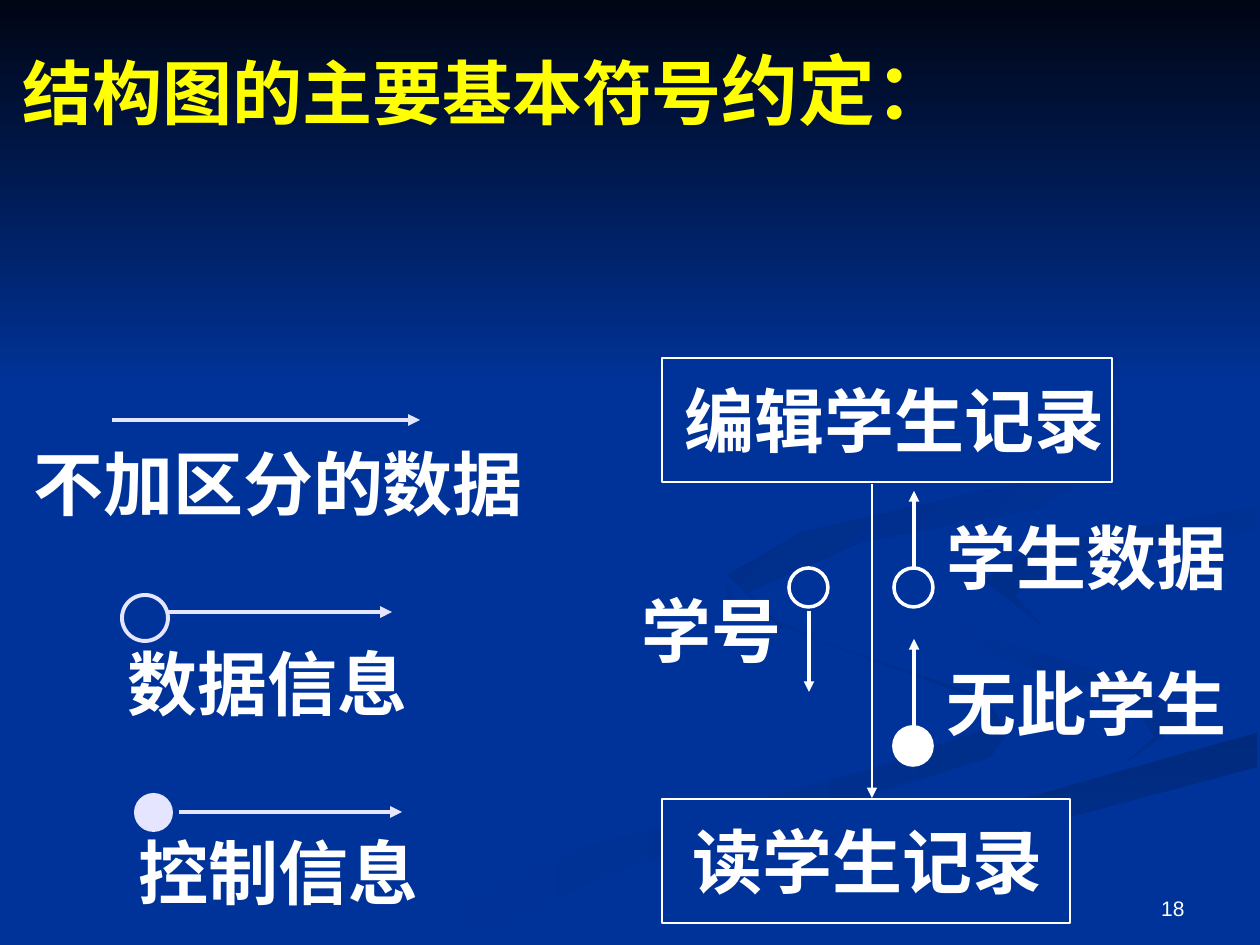
from lxml import etree
from pptx import Presentation
from pptx.dml.color import RGBColor
from pptx.enum.shapes import MSO_CONNECTOR, MSO_SHAPE
from pptx.enum.text import MSO_ANCHOR, MSO_AUTO_SIZE, PP_ALIGN
from pptx.oxml.ns import qn
from pptx.util import Pt

PX = 914400 / 126
STRAIGHT = MSO_CONNECTOR.STRAIGHT
RECTANGLE, OVAL = MSO_SHAPE.RECTANGLE, MSO_SHAPE.OVAL
TOP, MIDDLE, BOTTOM = MSO_ANCHOR.TOP, MSO_ANCHOR.MIDDLE, MSO_ANCHOR.BOTTOM
LEFT, RIGHT = PP_ALIGN.LEFT, PP_ALIGN.RIGHT
NO_AUTOFIT = MSO_AUTO_SIZE.NONE
CJK_FONT = "Noto Sans CJK SC"
COLORS = {
    "blue": "003399", "night": "000514", "white": "FFFFFF",
    "yellow": "FFFF00", "lavender": "E5E5FF",
    "shade1": "002E8B", "shade2": "002A7D", "shade3": "002D86", "shade4": "002B82",
}

# Each ribbon: colour at start, colour at end, clockwise angle, outline in px
RIBBONS = [
    ("blue", "shade1", 0, [
        (984, 697), (833, 646), (735, 601), (725, 578), (726, 605), (856, 654),
        (984, 701), (983, 730), (862, 772), (577, 849), (378, 944), (455, 944),
        (629, 866), (881, 791), (990, 757), (1008, 732)]),
    ("blue", "shade1", 45, [
        (1188, 718), (1119, 674), (939, 617), (912, 585), (965, 645),
        (1134, 702), (1155, 737), (1126, 762)]),
    ("shade2", "blue", 90, [
        (634, 944), (719, 944), (910, 859), (1257, 767), (1257, 732),
        (1004, 804), (794, 873)]),
    ("blue", "blue", 0, [
        (913, 585), (956, 627), (1159, 689), (1188, 724), (1137, 760), (835, 842),
        (601, 944), (634, 944), (794, 873), (1004, 804), (1259, 732), (1259, 678),
        (1091, 641), (984, 583), (1036, 547), (1259, 507), (1259, 488), (993, 532)]),
    ("shade3", "blue", 45, [
        (984, 580), (1041, 625), (1014, 595), (1062, 564), (1257, 529),
        (1257, 507), (1034, 546)]),
    ("shade4", "blue", 45, [
        (861, 542), (1040, 507), (1120, 456), (1116, 398), (960, 294), (1066, 352),
        (1120, 422), (1074, 471), (803, 532), (728, 575), (784, 630), (747, 592)]),
]


def px(*lengths):
    return [round(length * PX) for length in lengths]


def rgb(name):
    return RGBColor.from_string(COLORS[name])


def fill_gradient(shape, start, end, angle):
    """Fill with two colours; the angle runs clockwise from left to right."""
    shape.shadow.inherit = False
    shape.line.fill.background()
    if start == end:
        shape.fill.solid()
        shape.fill.fore_color.rgb = rgb(start)
        return
    shape.fill.gradient()
    shape.fill.gradient_angle = (360 - angle) % 360
    for position, (stop, color) in enumerate(zip(shape.fill.gradient_stops, (start, end))):
        stop.position = position
        stop.color.rgb = rgb(color)


def add_backdrop(slide):
    slide.background.fill.solid()
    slide.background.fill.fore_color.rgb = rgb("blue")
    for start, end, angle, outline in RIBBONS:
        builder = slide.shapes.build_freeform(*outline[0], scale=PX)
        builder.add_line_segments(outline[1:], close=True)
        fill_gradient(builder.convert_to_shape(), start, end, angle)
    band = slide.shapes.add_shape(RECTANGLE, *px(0, 0, 1260, 388))
    fill_gradient(band, "night", "blue", 90)


def add_outlined(slide, kind, box, fill, line, weight):
    shape = slide.shapes.add_shape(kind, *px(*box))
    shape.shadow.inherit = False
    shape.fill.solid()
    shape.fill.fore_color.rgb = rgb(fill)
    shape.line.color.rgb = rgb(line)
    shape.line.width = Pt(weight)


def add_arrow(slide, start, end, color, weight):
    arrow = slide.shapes.add_connector(STRAIGHT, *px(*start, *end))
    arrow.line.color.rgb = rgb(color)
    arrow.line.width = Pt(weight)
    properties = arrow.element.spPr
    etree.SubElement(properties.find(qn("a:ln")), qn("a:tailEnd"), type="triangle")
    etree.SubElement(properties, qn("a:effectLst"))


def format_frame(frame, anchor, wrap):
    frame.word_wrap = wrap
    frame.auto_size = NO_AUTOFIT
    frame.vertical_anchor = anchor
    frame.margin_top = frame.margin_bottom = 0


def format_run(run, size, color, font=CJK_FONT, bold=True):
    run.font.size = Pt(size)
    run.font.bold = bold
    run.font.color.rgb = rgb(color)
    run.font.name = font
    if font == CJK_FONT:
        etree.SubElement(run.font._element, qn("a:ea"), typeface=font)


def add_title(slide):
    title = slide.shapes.title
    title.left, title.top, title.width, title.height = px(10, 42, 1250, 809)
    title.element.getparent().append(title.element)  # in front of the backdrop
    format_frame(title.text_frame, TOP, True)
    paragraph = title.text_frame.paragraphs[0]
    paragraph.alignment = LEFT
    for text, size in (("结构图的主要基本符号", 40), ("约定：", 44)):
        run = paragraph.add_run()
        run.text = text
        format_run(run, size, "yellow")


def add_label(slide, text, left, top):
    """Add a bold label whose width follows from its number of characters."""
    box = slide.shapes.add_textbox(*px(left, top, 70 * len(text) + 25, 96))
    box.text_frame.text = text
    format_frame(box.text_frame, MIDDLE, False)
    format_run(box.text_frame.paragraphs[0].runs[0], 40, "white")


def add_slide_number(slide):
    box = slide.shapes.add_textbox(*px(903, 861, 294, 60))
    box.text_frame.text = "18"
    format_frame(box.text_frame, BOTTOM, True)
    paragraph = box.text_frame.paragraphs[0]
    paragraph.alignment = RIGHT
    format_run(paragraph.runs[0], 12, "white", "Arial", False)


def main():
    presentation = Presentation()
    presentation.slide_width, presentation.slide_height = px(1260, 945)
    slide = presentation.slides.add_slide(presentation.slide_layouts[5])
    add_backdrop(slide)
    add_slide_number(slide)
    add_title(slide)

    for top, width in ((358, 450), (799, 408)):
        add_outlined(slide, RECTANGLE, (662, top, width, 124), "blue", "white", 1)
    for x, start, end, weight in (
        (872, 484, 798, 1), (914, 580, 491, 2), (914, 726, 639, 2), (809, 611, 692, 2),
    ):
        add_arrow(slide, (x, start), (x, end), "white", weight)
    for y, start, end in ((420, 112, 420), (612, 168, 392), (812, 179, 402)):
        add_arrow(slide, (start, y), (end, y), "lavender", 2.25)
    for left, top, diameter, fill, line, weight in (
        (789, 568, 39, "blue", "white", 2),
        (894, 568, 39, "blue", "white", 2),
        (893, 726, 40, "white", "white", 1),
        (122, 595, 46, "blue", "lavender", 2.25),
        (136, 795, 35, "lavender", "lavender", 2.25),
    ):
        add_outlined(slide, OVAL, (left, top, diameter, diameter), fill, line, weight)
    for text, left, top in (
        ("编辑学生记录", 672, 372), ("读学生记录", 680, 813),
        ("学生数据", 934, 508), ("无此学生", 934, 655), ("学号", 629, 582),
        ("不加区分的数据", 21, 435), ("数据信息", 115, 634), ("控制信息", 126, 823),
    ):
        add_label(slide, text, left, top)
    presentation.save("out.pptx")


if __name__ == "__main__":
    main()
